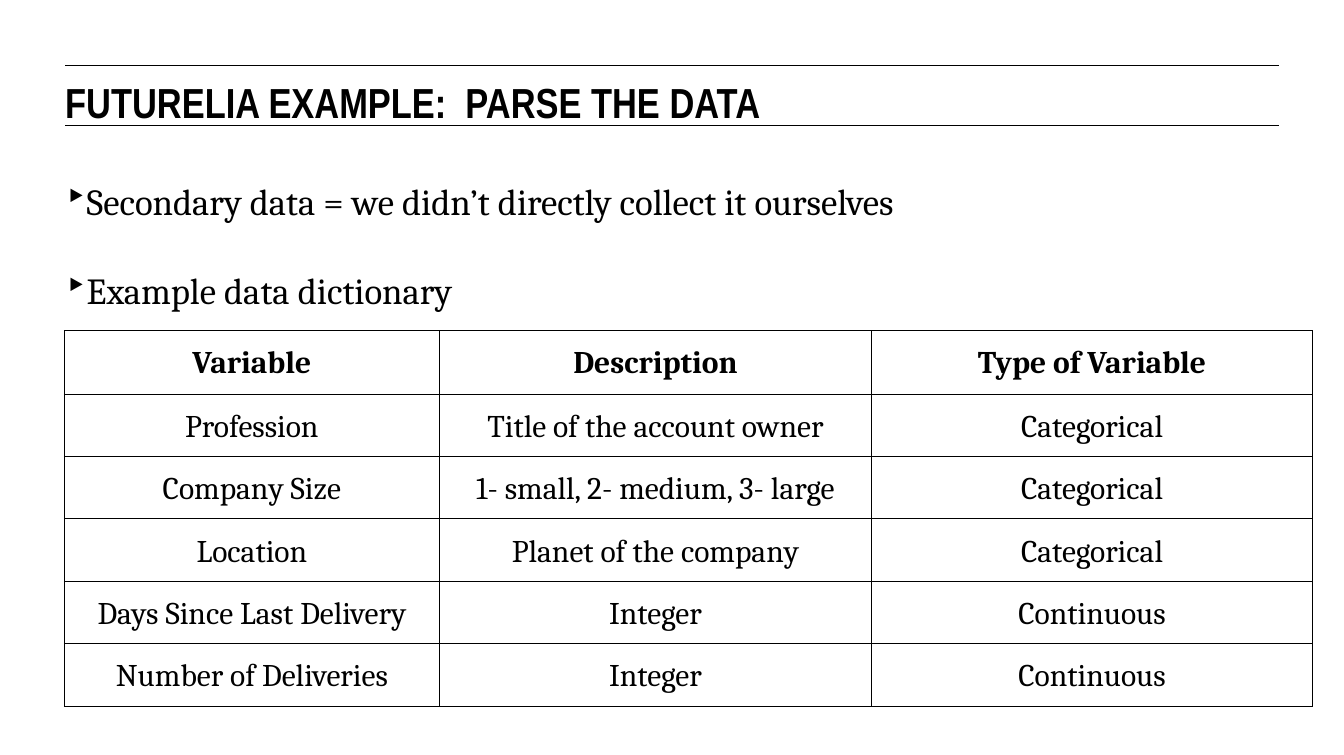
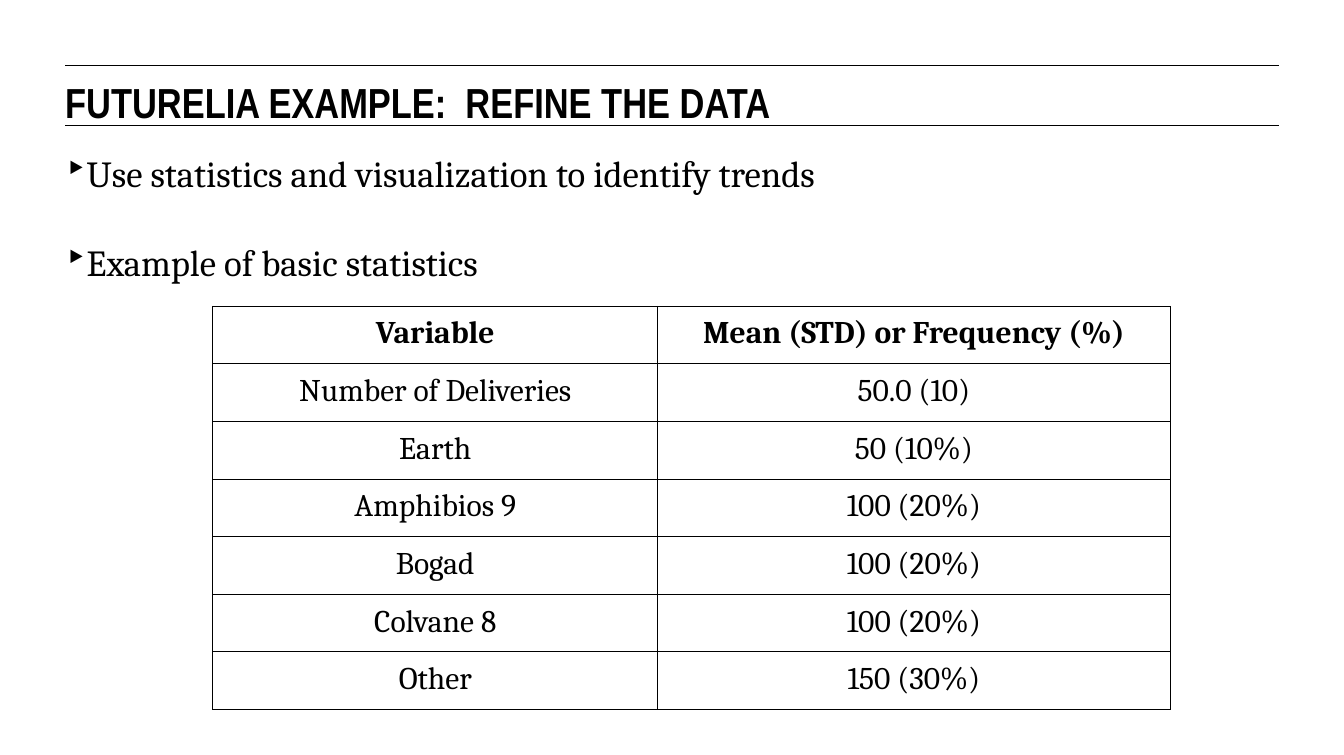
from dataclasses import dataclass

from lxml import etree
from pptx import Presentation
from pptx import util as u
from pptx.dml.color import RGBColor
from pptx.enum import shapes, text
from pptx.oxml import ns


@dataclass(frozen=True)
class Theme:
    ink: RGBColor = RGBColor(0, 0, 0)
    title_font: str = "Arial Narrow"
    body_font: str = "Cambria"
    title_size: int = 32
    bullet_size: int = 28
    cell_size: int = 24
    rule_width: float = 0.75
    left: float = 0.69
    width: float = 12.84
    rule_tops: tuple[float, ...] = (0.69, 1.33)


@dataclass(frozen=True)
class Grid:
    left: float
    top: float
    columns: tuple[float, ...]
    header_height: float
    row_height: float
    line_spacing: float
    rows: tuple[tuple[str, ...], ...]


@dataclass(frozen=True)
class Page:
    title: str
    bullets: tuple[str, ...]
    bullets_top: float
    grid: Grid


THEME = Theme()

PAGES = (
    Page(
        "FUTURELIA EXAMPLE:  PARSE THE DATA",
        ("Secondary data = we didn’t directly collect it ourselves",
         "Example data dictionary"),
        1.89,
        Grid(0.68, 3.5, (3.97, 4.57, 4.67), 0.67, 0.64, 1.15, (
            ("Variable", "Description", "Type of Variable"),
            ("Profession", "Title of the account owner", "Categorical"),
            ("Company Size", "1- small, 2- medium, 3- large", "Categorical"),
            ("Location", "Planet of the company", "Categorical"),
            ("Days Since Last Delivery", "Integer", "Continuous"),
            ("Number of Deliveries", "Integer", "Continuous"),
        )),
    ),
    Page(
        "FUTURELIA EXAMPLE:  REFINE THE DATA",
        ("Use statistics and visualization to identify trends",
         "Example of basic statistics"),
        1.6,
        Grid(2.25, 3.24, (4.71, 5.42), 0.61, 0.61, 1.0, (
            ("Variable", "Mean (STD) or Frequency (%)"),
            ("Number of Deliveries", "50.0 (10)"),
            ("Earth", "50 (10%)"),
            ("Amphibios 9", "100 (20%)"),
            ("Bogad", "100 (20%)"),
            ("Colvane 8", "100 (20%)"),
            ("Other", "150 (30%)"),
        )),
    ),
)


def style_font(paragraph, name: str, size: float, bold: bool = False) -> None:
    font = paragraph.font
    font.name, font.size, font.bold = name, u.Pt(size), bold
    font.color.rgb = THEME.ink


def add_text_frame(slide, top: float, height: float):
    box = slide.shapes.add_textbox(
        u.Inches(THEME.left), u.Inches(top), u.Inches(THEME.width), u.Inches(height))
    frame = box.text_frame
    frame.word_wrap = True
    frame.margin_left = frame.margin_right = frame.margin_top = frame.margin_bottom = 0
    return frame


# Title between two thin rules
def add_title(slide, title: str) -> None:
    for top in THEME.rule_tops:
        rule = slide.shapes.add_connector(
            shapes.MSO_CONNECTOR.STRAIGHT, u.Inches(THEME.left), u.Inches(top),
            u.Inches(THEME.left + THEME.width), u.Inches(top))
        rule.line.color.rgb = THEME.ink
        rule.line.width = u.Pt(THEME.rule_width)
        etree.SubElement(rule._element.spPr, ns.qn("a:effectLst"))
    paragraph = add_text_frame(slide, 0.81, 0.47).paragraphs[0]
    paragraph.text = title
    style_font(paragraph, THEME.title_font, THEME.title_size, bold=True)


# Bullets with hanging indents
def add_bullets(slide, bullets: tuple[str, ...], top: float) -> None:
    frame = add_text_frame(slide, top, 1.4)
    for index, bullet in enumerate(bullets):
        paragraph = frame.add_paragraph() if index else frame.paragraphs[0]
        paragraph.text = bullet
        properties = paragraph._p.get_or_add_pPr()
        properties.set("marL", str(u.Inches(0.22)))
        properties.set("indent", str(u.Inches(-0.28)))
        etree.SubElement(properties, ns.qn("a:buChar"), char="‣")
        if index:
            paragraph.space_before = u.Pt(34)
        style_font(paragraph, THEME.body_font, THEME.bullet_size)


# Bordered table
def add_borders(cell) -> None:
    properties = cell._tc.get_or_add_tcPr()
    for side in ("lnL", "lnR", "lnT", "lnB"):
        line = etree.SubElement(
            properties, ns.qn(f"a:{side}"), w=str(u.Pt(THEME.rule_width)))
        fill = etree.SubElement(line, ns.qn("a:solidFill"))
        etree.SubElement(fill, ns.qn("a:srgbClr"), val=str(THEME.ink))


def fill_cell(cell, content: str, line_spacing: float, bold: bool) -> None:
    cell.margin_left = cell.margin_right = u.Inches(0.1)
    cell.margin_top = cell.margin_bottom = u.Inches(0.1)
    add_borders(cell)
    cell.fill.background()
    paragraph = cell.text_frame.paragraphs[0]
    paragraph.text = content
    paragraph.alignment = text.PP_ALIGN.CENTER
    paragraph.line_spacing = line_spacing
    style_font(paragraph, THEME.body_font, THEME.cell_size, bold)


def add_grid(slide, grid: Grid) -> None:
    heights = [grid.header_height] + [grid.row_height] * (len(grid.rows) - 1)
    table = slide.shapes.add_table(
        len(grid.rows), len(grid.columns), u.Inches(grid.left), u.Inches(grid.top),
        u.Inches(sum(grid.columns)), u.Inches(sum(heights))).table
    table.first_row = table.horz_banding = False
    for column, width in zip(table.columns, grid.columns):
        column.width = u.Inches(width)
    for row_index, (row, height) in enumerate(zip(table.rows, heights)):
        row.height = u.Inches(height)
        for cell, content in zip(row.cells, grid.rows[row_index]):
            fill_cell(cell, content, grid.line_spacing, bold=row_index == 0)


def main() -> None:
    presentation = Presentation()
    presentation.slide_width = u.Inches(14.22)
    presentation.slide_height = u.Inches(7.99)
    for page in PAGES:
        slide = presentation.slides.add_slide(presentation.slide_layouts[6])
        add_title(slide, page.title)
        add_bullets(slide, page.bullets, page.bullets_top)
        add_grid(slide, page.grid)
    presentation.save("out.pptx")


if __name__ == "__main__":
    main()
